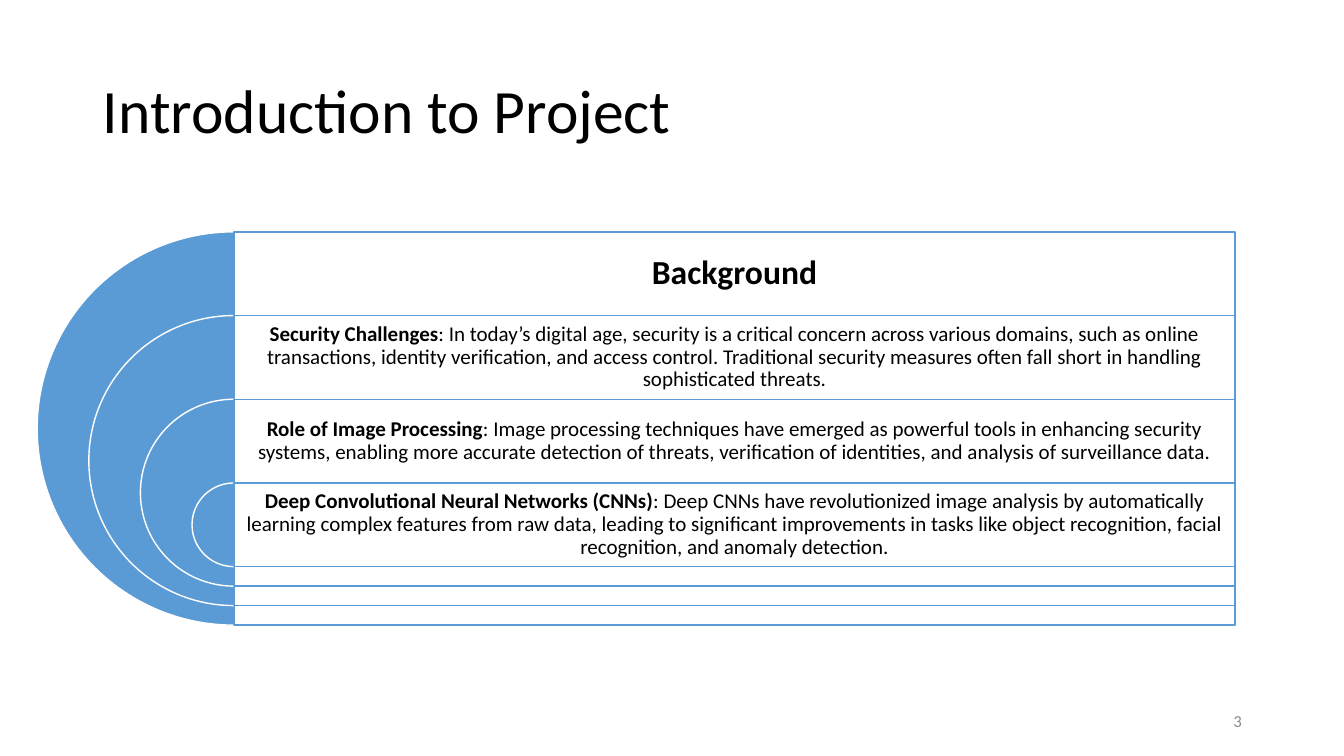
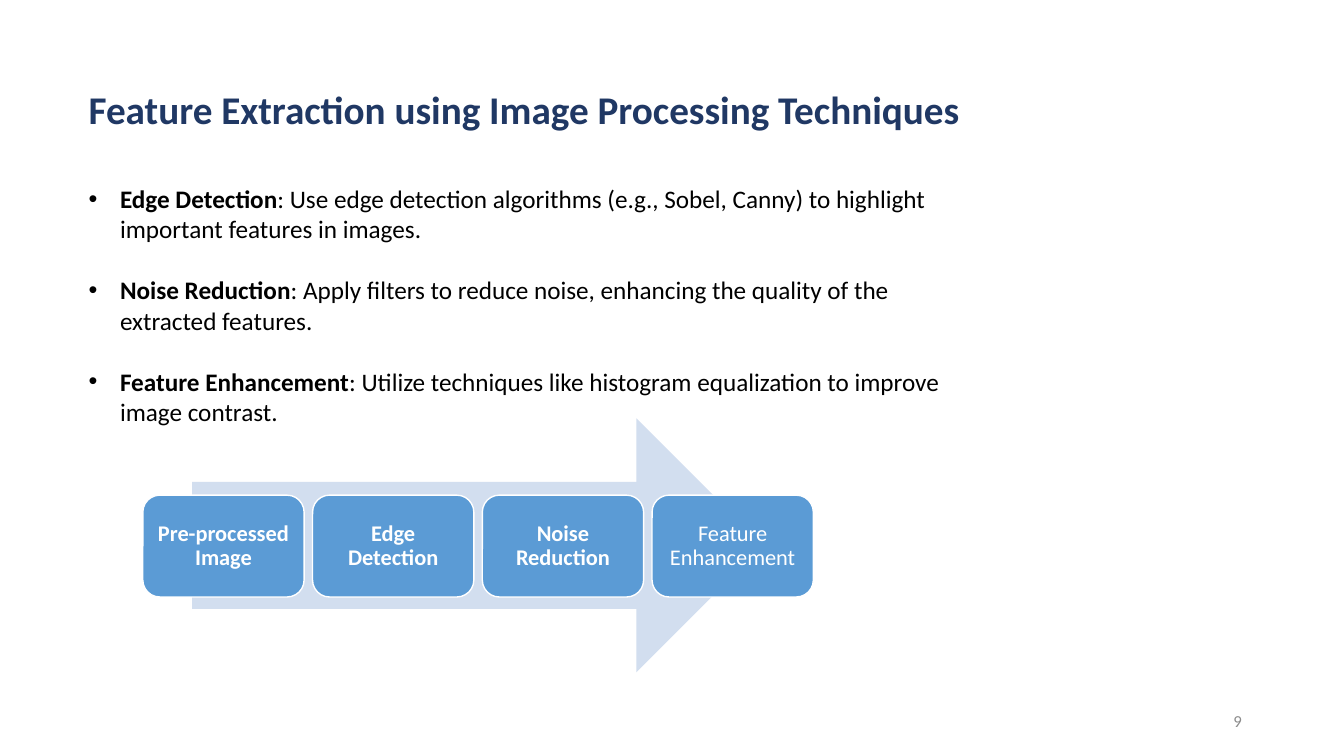
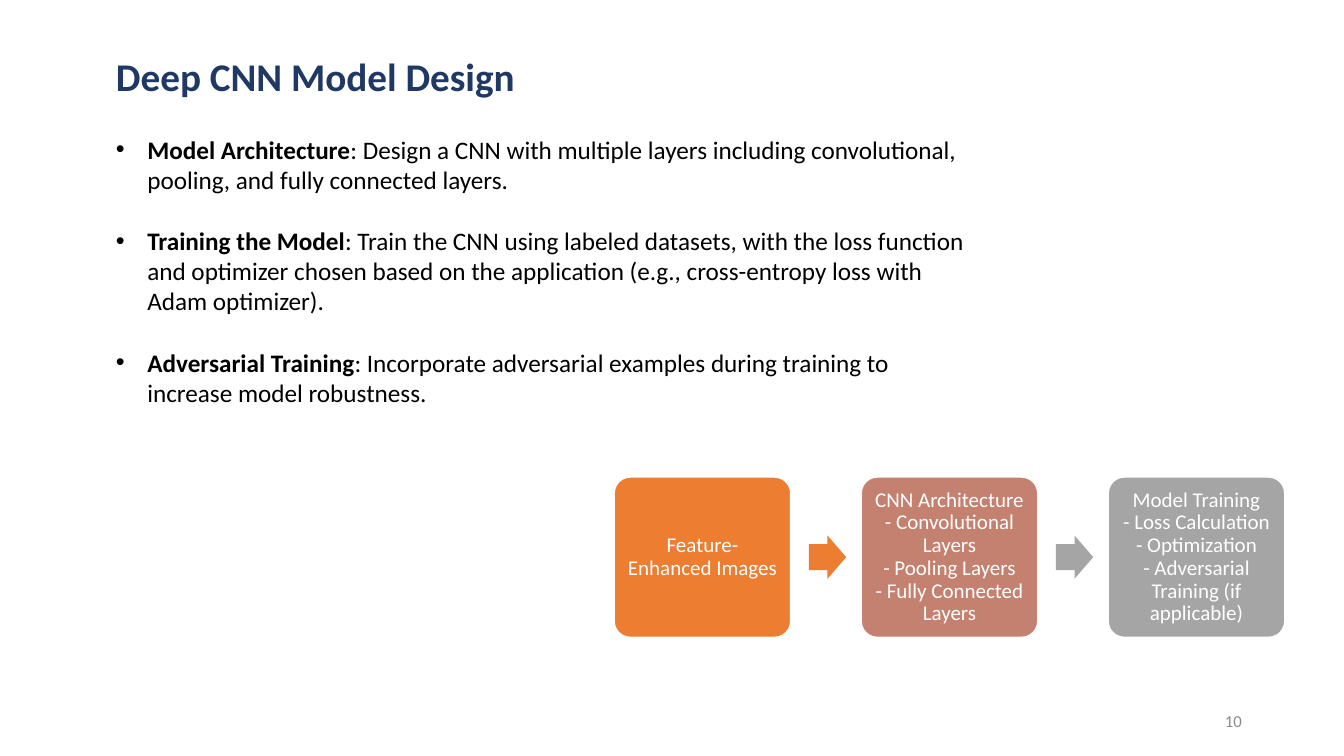
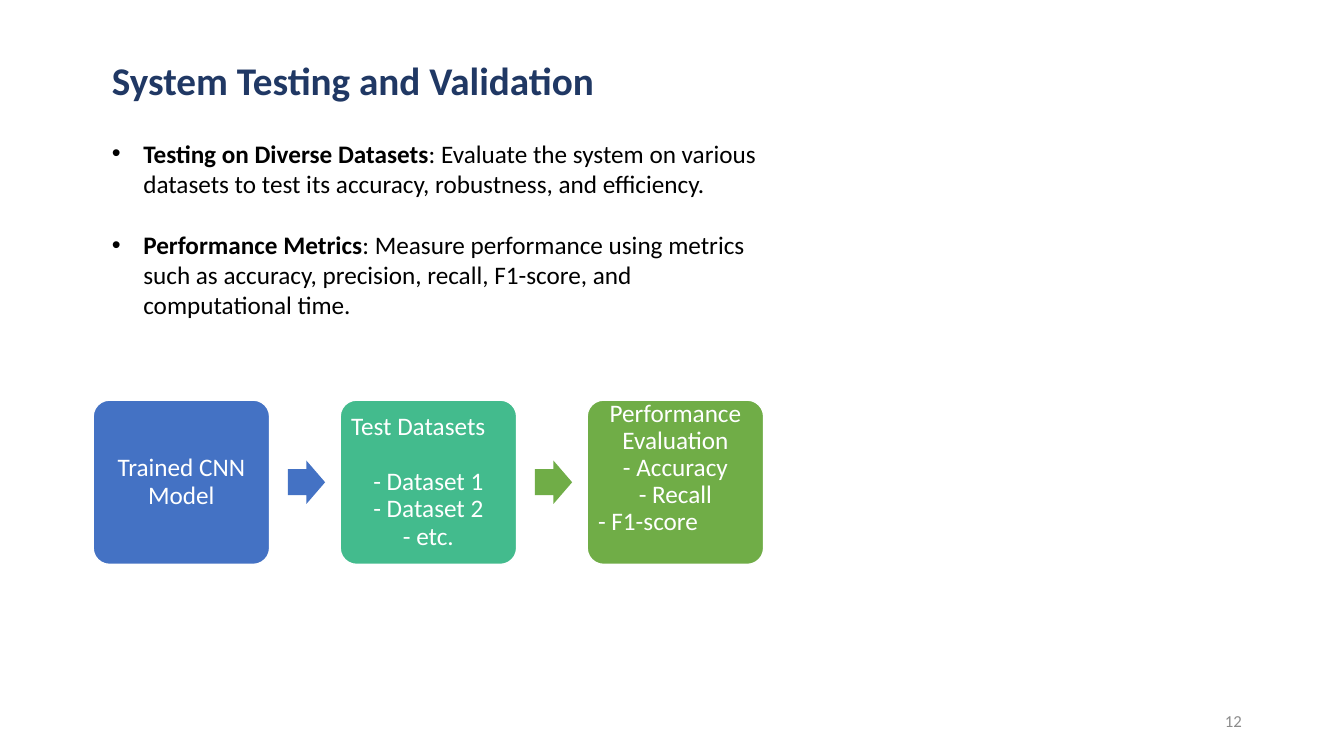
from pptx import Presentation
from pptx.dml.color import RGBColor
from pptx.enum.shapes import MSO_SHAPE
from pptx.enum.text import MSO_ANCHOR, MSO_AUTO_SIZE, PP_ALIGN
from pptx.util import Emu, Inches, Pt
from lxml import etree

RECT, ROUND = MSO_SHAPE.RECTANGLE, MSO_SHAPE.ROUNDED_RECTANGLE
PIE, ARROW = MSO_SHAPE.PIE, MSO_SHAPE.RIGHT_ARROW
LEFT, MID, RIGHT = PP_ALIGN.LEFT, PP_ALIGN.CENTER, PP_ALIGN.RIGHT
TOP, CENTRE = MSO_ANCHOR.TOP, MSO_ANCHOR.MIDDLE
FONT = "Calibri"
HUES = {
    "white": "FFFFFF", "black": "000000", "navy": "203864", "grey": "8C8C8C",
    "sky": "5B9BD5", "pale": "D2DEEF", "orange": "ED7D31", "rose": "C48170",
    "ash": "A5A5A5", "blue": "4472C4", "teal": "43BB8D", "green": "70AD47",
}
INK = {name: RGBColor.from_string(code) for name, code in HUES.items()}

deck = Presentation()
deck.slide_width, deck.slide_height = Emu(12192000), Inches(7.5)
# All places and sizes are percentages of the slide's width and height
COL, ROW = deck.slide_width / 100, deck.slide_height / 100


def draw(slide, kind, x, y, w, h, fill=None, line=None):
    """Add a preset shape, or a text box if kind is None."""
    area = [Emu(round(n)) for n in (x * COL, y * ROW, w * COL, h * ROW)]
    if kind is None:
        return slide.shapes.add_textbox(*area)
    shape = slide.shapes.add_shape(kind, *area)
    shape.shadow.inherit = False
    shape.fill.solid()
    shape.fill.fore_color.rgb = INK[fill]
    if line:
        shape.line.color.rgb = INK[line]
        shape.line.width = Pt(1)
    else:
        shape.line.fill.background()
    return shape


def write(shape, paras, size, ink, align=LEFT, anchor=CENTRE, lead=0.9, pad=None):
    """Fill a shape with paragraphs, each a list of (text, bold) runs."""
    frame = shape.text_frame
    frame.word_wrap = True
    frame.auto_size = MSO_AUTO_SIZE.NONE
    frame.vertical_anchor = anchor
    if pad is not None:
        frame.margin_left = frame.margin_right = Inches(pad)
        frame.margin_top = frame.margin_bottom = Inches(pad)
    for i, runs in enumerate(paras):
        para = frame.add_paragraph() if i else frame.paragraphs[0]
        para.alignment, para.line_spacing = align, lead
        for text, bold in runs:
            run = para.add_run()
            run.text = text
            run.font.name, run.font.size, run.font.bold = FONT, Pt(size), bold
            run.font.color.rgb = INK[ink]
    return frame


# Titles and slide numbers
PAGES = [
    ("3", "Introduction to Project", (6.9, 5.33, 86.25, 19.33), 44, "black"),
    ("9", "Feature Extraction using Image Processing Techniques",
     (5.85, 10.93, 67.1, 7.6), 28, "navy"),
    ("10", "Deep CNN Model Design", (7.88, 6.67, 65.55, 7.6), 28, "navy"),
    ("12", "System Testing and Validation", (7.58, 7.2, 50, 7.6), 28, "navy"),
]
slides = []
for mark, name, (x, y, w, h), size, ink in PAGES:
    slide = deck.slides.add_slide(deck.slide_layouts[5])
    title = slide.shapes.title
    title.left, title.top = round(x * COL), round(y * ROW)
    title.width, title.height = round(w * COL), round(h * ROW)
    write(title, [[(name, ink == "navy")]], size, ink)
    foot = draw(slide, None, 70.65, 92.67, 22.5, 5.33)
    write(foot, [[(mark, False)]], 12, "grey", RIGHT, lead=1)
    slides.append(slide)
intro, edges, model, tests = slides

# Introduction: nested half discs, each with a framed row
NEST = [
    [("Background", True)],
    [("Security Challenges", True),
     (": In today’s digital age, security is a critical concern across various "
      "domains, such as online transactions, identity verification, and access "
      "control. Traditional security measures often fall short in handling "
      "sophisticated threats.", False)],
    [("Role of Image Processing", True),
     (": Image processing techniques have emerged as powerful tools in enhancing "
      "security systems, enabling more accurate detection of threats, verification "
      "of identities, and analysis of surveillance data.", False)],
    [("Deep Convolutional Neural Networks (CNNs)", True),
     (": Deep CNNs have revolutionized image analysis by automatically learning "
      "complex features from raw data, leading to significant improvements in "
      "tasks like object recognition, facial recognition, and anomaly detection.",
      False)],
]
AXIS, BAND, STEP = 17.4, 11.07, 13.65
for i, runs in enumerate(NEST):
    y = 30.67 + i * BAND
    extra = (len(NEST) - 1 - i) * STEP
    tall = BAND + extra
    wide = tall * ROW / COL
    disc = draw(intro, PIE, AXIS - wide / 2, y, wide, tall, "sky", "white")
    disc.adjustments[0], disc.adjustments[1] = 54, 162
    panel = draw(intro, RECT, AXIS, y, 74.5, tall, "white", "sky")
    frame = write(panel, [runs], 15 if i else 24, "black", MID, pad=0.06)
    frame.margin_bottom += round(extra * ROW)

# Bulleted lists below the titles
LISTS = [
    (edges, (5.85, 23.6, 67.1, 33.6), [
        ("Edge Detection", ": Use edge detection algorithms (e.g., Sobel, Canny) "
         "to highlight important features in images."),
        ("Noise Reduction", ": Apply filters to reduce noise, enhancing the "
         "quality of the extracted features."),
        ("Feature Enhancement", ": Utilize techniques like histogram equalization "
         "to improve image contrast.")]),
    (model, (7.88, 17.07, 65.55, 37.6), [
        ("Model Architecture", ": Design a CNN with multiple layers including "
         "convolutional, pooling, and fully connected layers."),
        ("Training the Model", ": Train the CNN using labeled datasets, with the "
         "loss function and optimizer chosen based on the application (e.g., "
         "cross-entropy loss with Adam optimizer)."),
        ("Adversarial Training", ": Incorporate adversarial examples during "
         "training to increase model robustness.")]),
    (tests, (7.58, 17.6, 50, 25.5), [
        ("Testing on Diverse Datasets", ": Evaluate the system on various datasets "
         "to test its accuracy, robustness, and efficiency."),
        ("Performance Metrics", ": Measure performance using metrics such as "
         "accuracy, precision, recall, F1-score, and computational time.")]),
]
for slide, area, items in LISTS:
    paras = [[(head, True), (rest, False)] for head, rest in items]
    frame = write(draw(slide, None, *area), paras, 18, "black", anchor=TOP, lead=1)
    for para in frame.paragraphs:
        para.space_after = Pt(22)
        props = para._p.get_or_add_pPr()
        props.set("marL", "285750")
        props.set("indent", "-285750")
        space = props.nsmap["a"]
        etree.SubElement(props, f"{{{space}}}buFont", typeface="Arial")
        etree.SubElement(props, f"{{{space}}}buChar", char="•")

# Feature extraction: four steps on a wide arrow
draw(edges, ARROW, 14.3, 55.33, 42.5, 33.6, "pale")
STAGES = ["Pre-processed Image", "Edge Detection", "Noise Reduction",
          "Feature Enhancement"]
for i, text in enumerate(STAGES):
    card = draw(edges, ROUND, 10.63 + i * 12.63, 65.5, 12, 13.47, "sky", "white")
    write(card, [[(text, i < 3)]], 16, "white", MID, pad=0.07)

# Model design and testing: three cards joined by arrows
FLOWS = [
    (model, 45.7, 63.1, 21.2, 15, [
        ("orange", ["Feature-Enhanced Images"]),
        ("rose", ["CNN Architecture", "- Convolutional Layers",
                  "- Pooling Layers", "- Fully Connected Layers"]),
        ("ash", ["Model Training", "- Loss Calculation", "- Optimization",
                 "- Adversarial Training (if applicable)"])]),
    (tests, 6.93, 52.93, 21.73, 18, [
        ("blue", ["Trained CNN Model"]),
        ("teal", ["Test Datasets", "- Dataset 1", "- Dataset 2", "- etc."]),
        ("green", ["Performance Evaluation", "- Accuracy", "- Recall",
                   "- F1-score"])]),
]
PITCH, WIDE, SLIM, HIGH = 18.38, 13.13, 2.78, 5.73
for slide, x, y, h, size, cards in FLOWS:
    frames = []
    for i, (fill, lines) in enumerate(cards):
        left = x + i * PITCH
        if i:
            tint = cards[0 if i == 1 else i][0]
            link = draw(slide, ARROW, left - 3.9, y + (h - HIGH) / 2, SLIM, HIGH, tint)
            link.adjustments[0], link.adjustments[1] = 0.6, 0.5
        card = draw(slide, ROUND, left, y, WIDE, h, fill, "white")
        card.adjustments[0] = 0.1
        paras = [[(text, False)] for text in lines]
        frames.append(write(card, paras, size, "white", MID, pad=0.06))

# On the testing slide two lines stand left, each with a line of space below
data, score = frames[1:]
data.paragraphs[0].alignment = score.paragraphs[-1].alignment = LEFT
data.paragraphs[0].space_after = Pt(19.8)
score.margin_bottom += Pt(19.8)

deck.save("out.pptx")
